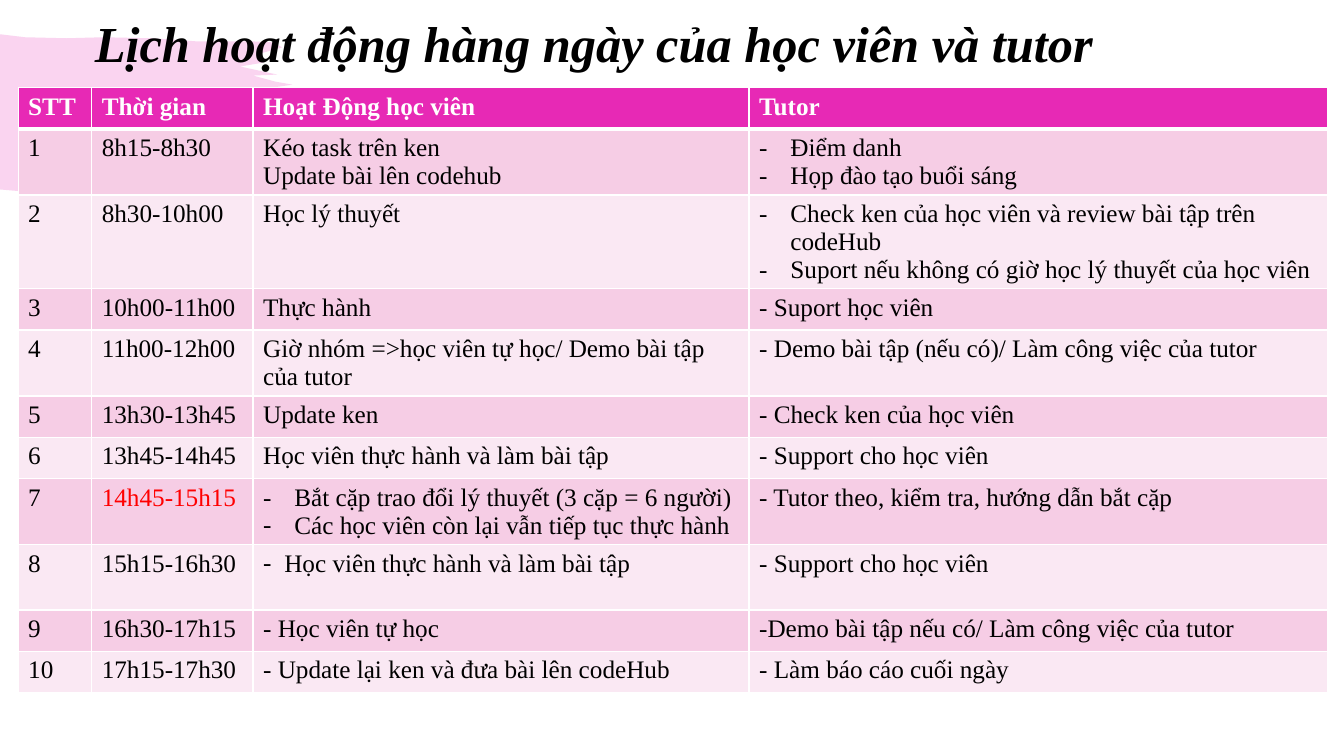
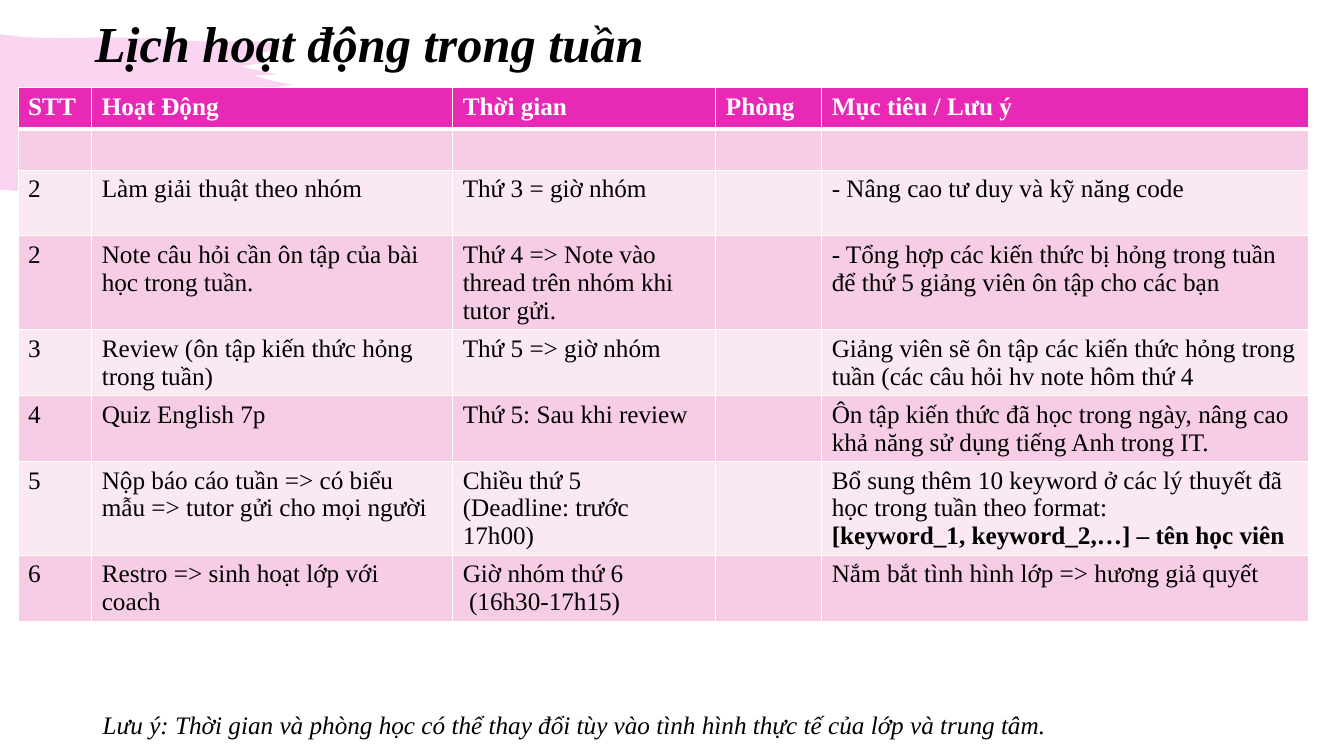
from dataclasses import dataclass, field

from lxml.etree import SubElement
from pptx import Presentation
from pptx.dml.color import RGBColor
from pptx.enum.text import MSO_ANCHOR, MSO_AUTO_SIZE, PP_ALIGN
from pptx.oxml.ns import qn
from pptx.slide import Slide, SlideLayout
from pptx.table import _Cell
from pptx.text.text import _Paragraph
from pptx.util import Emu, Pt

PX = 9144
FONT = "Times New Roman"
COLORS = {
    "accent": "E729B5",
    "odd": "F6CDE5",
    "even": "FAE8F3",
    "white": "FFFFFF",
    "black": "000000",
    "alert": "FF0000",
}
TITLE_FORMAT = {"name": FONT, "size": Pt(36), "bold": True, "italic": True}
CELL_FORMAT = {"name": FONT, "size": Pt(18), "bold": False}
STRONG_FORMAT = CELL_FORMAT | {"bold": True}
NOTE_FORMAT = CELL_FORMAT | {"italic": True}
ROW_HEIGHTS = {1: 41, 2: 65, 3: 93}
TITLE_BOX = (84, 15, 1150, 61)
NOTE_BOX = (92, 699, 1134, 40)
TABLE_LEFT, TABLE_TOP = 18, 87
DASH_HANG = 31
BRUSH_OUTLINE = [
    (0, 34), (25, 37), (66, 38), (102, 37), (151, 38), (194, 41), (248, 41), (270, 42),
    (280, 47), (255, 54), (262, 62), (238, 66), (275, 74), (251, 75), (273, 81), (290, 84),
    (263, 88), (330, 94), (274, 128), (197, 172), (102, 188), (65, 191), (23, 190), (0, 188),
]


@dataclass(frozen=True)
class Line:
    """One paragraph of a cell, dashed when it has a hang."""
    text: str
    hang: int = 0
    color: str = "black"
    strong: bool = False


@dataclass(frozen=True)
class Row:
    """One schedule row and the number of text lines it holds."""
    cells: tuple[str | tuple[Line, ...], ...]
    lines: int = 1


@dataclass(frozen=True)
class Schedule:
    """A titled schedule with an optional closing note."""
    title: str
    widths: tuple[int, ...]
    headings: tuple[str, ...]
    rows: list[Row] = field(default_factory=list)
    note: str = ""


def dashed(*texts: str, hang: int = DASH_HANG) -> tuple[Line, ...]:
    """Turn texts into dashed lines."""
    return tuple(Line(text, hang) for text in texts)


SCHEDULES = [
    Schedule(
        "Lịch hoạt động hàng ngày của học viên và tutor",
        (73, 160, 492, 574),
        ("STT", "Thời gian", "Hoạt Động học viên", "Tutor"),
        [
            Row(("1", "8h15-8h30",
                 (Line("Kéo task trên ken"), Line("Update bài lên codehub")),
                 dashed("Điểm danh", "Họp đào tạo buổi sáng")), 2),
            Row(("2", "8h30-10h00", "Học lý thuyết",
                 dashed("Check ken của học viên và review bài tập trên codeHub",
                        "Suport nếu không có giờ học lý thuyết của học viên")), 3),
            Row(("3", "10h00-11h00", "Thực hành", "- Suport học viên")),
            Row(("4", "11h00-12h00", "Giờ nhóm =>học viên tự học/ Demo bài tập của tutor",
                 "- Demo bài tập (nếu có)/ Làm công việc của tutor"), 2),
            Row(("5", "13h30-13h45", "Update ken", "- Check ken của học viên")),
            Row(("6", "13h45-14h45", "Học viên thực hành và làm bài tập",
                 "- Support cho học viên")),
            Row(("7", (Line("14h45-15h15", color="alert"),),
                 dashed("Bắt cặp trao đổi lý thuyết (3 cặp = 6 người)",
                        "Các học viên còn lại vẫn tiếp tục thực hành"),
                 "- Tutor theo, kiểm tra, hướng dẫn bắt cặp"), 2),
            Row(("8", "15h15-16h30", dashed("Học viên thực hành và làm bài tập", hang=21),
                 "- Support cho học viên"), 2),
            Row(("9", "16h30-17h15", "- Học viên tự học",
                 "-Demo bài tập nếu có/ Làm công việc của tutor")),
            Row(("10", "17h15-17h30", "- Update lại ken và đưa bài lên codeHub",
                 "- Làm báo cáo cuối ngày")),
        ],
    ),
    Schedule(
        "Lịch hoạt động trong tuần",
        (73, 358, 261, 105, 483),
        ("STT", "Hoạt Động", "Thời gian", "Phòng", "Mục tiêu / Lưu ý"),
        [
            Row(("",) * 5),
            Row(("2", "Làm giải thuật theo nhóm", "Thứ 3 = giờ nhóm", "",
                 "- Nâng cao tư duy và kỹ năng code"), 2),
            Row(("2", "Note câu hỏi cần ôn tập của bài học trong tuần.",
                 "Thứ 4 => Note vào thread trên nhóm khi tutor gửi.", "",
                 "- Tổng hợp các kiến thức bị hỏng trong tuần để thứ 5 giảng viên "
                 "ôn tập cho các bạn"), 3),
            Row(("3", "Review (ôn tập kiến thức hỏng trong tuần)", "Thứ 5 => giờ nhóm", "",
                 "Giảng viên sẽ ôn tập các kiến thức hỏng trong tuần "
                 "(các câu hỏi hv note hôm thứ 4"), 2),
            Row(("4", "Quiz English 7p", "Thứ 5: Sau khi review", "",
                 "Ôn tập kiến thức đã học trong ngày, nâng cao khả năng "
                 "sử dụng tiếng Anh trong IT."), 2),
            Row(("5", "Nộp báo cáo tuần => có biểu mẫu => tutor gửi cho mọi người",
                 (Line("Chiều thứ 5"), Line("(Deadline: trước 17h00)")), "",
                 (Line("Bổ sung thêm 10 keyword ở các lý thuyết đã học trong tuần theo format:"),
                  Line("[keyword_1, keyword_2,…] – tên học viên", strong=True))), 3),
            Row(("6", "Restro => sinh hoạt lớp với coach",
                 (Line("Giờ nhóm thứ 6"), Line(" (16h30-17h15)")), "",
                 "Nắm bắt tình hình lớp => hương giả quyết"), 2),
        ],
        "Lưu ý: Thời gian và phòng học có thể thay đổi tùy vào tình hình thực tế của lớp "
        "và trung tâm.",
    ),
]


def px(length: int) -> Emu:
    """Convert px to EMU."""
    return Emu(length * PX)


def rgb(color: str) -> RGBColor:
    """Look up a named colour."""
    return RGBColor.from_string(COLORS[color])


def write(paragraph: _Paragraph, text: str, formats: dict, color: str = "black") -> None:
    """Add one formatted run."""
    run = paragraph.add_run()
    run.text = text
    for key, value in formats.items():
        setattr(run.font, key, value)
    run.font.color.rgb = rgb(color)


def add_brush(slide: Slide, layout: SlideLayout) -> None:
    """Draw the brush stroke and place it behind everything on the layout."""
    start, *outline = BRUSH_OUTLINE
    builder = slide.shapes.build_freeform(*start, scale=PX)
    builder.add_line_segments(outline, close=True)
    brush = builder.convert_to_shape()
    brush.shadow.inherit = False
    brush.line.fill.background()
    brush.fill.solid()
    brush.fill.fore_color.rgb = rgb("accent")
    tint = brush.element.spPr.find(f"{qn('a:solidFill')}/{qn('a:srgbClr')}")
    SubElement(tint, qn("a:alpha"), val="20000")
    brush.element.nvSpPr.cNvPr.set("id", "99")
    layout.shapes.element.insert(2, brush.element)


def add_title(slide: Slide, text: str) -> None:
    """Fill the title placeholder."""
    title = slide.shapes.title
    title.left, title.top, title.width, title.height = map(px, TITLE_BOX)
    frame = title.text_frame
    frame.auto_size = MSO_AUTO_SIZE.NONE
    frame.vertical_anchor = MSO_ANCHOR.MIDDLE
    paragraph = frame.paragraphs[0]
    paragraph.alignment = PP_ALIGN.LEFT
    paragraph.line_spacing = 0.9
    write(paragraph, text, TITLE_FORMAT)


def style_cell(cell: _Cell, fill: str, top: int = 1, bottom: int = 1) -> None:
    """Give a cell white borders and a fill."""
    properties = cell._tc.get_or_add_tcPr()
    for side, width in {"L": 1, "R": 1, "T": top, "B": bottom}.items():
        border = SubElement(properties, qn(f"a:ln{side}"), w=str(Pt(width)))
        paint = SubElement(border, qn("a:solidFill"))
        SubElement(paint, qn("a:srgbClr"), val=COLORS["white"])
    cell.fill.solid()
    cell.fill.fore_color.rgb = rgb(fill)


def fill_cell(cell: _Cell, lines: tuple[Line, ...]) -> None:
    """Write the lines of a cell, one paragraph each."""
    frame = cell.text_frame
    for index, line in enumerate(lines):
        paragraph = frame.add_paragraph() if index else frame.paragraphs[0]
        if line.hang:
            properties = paragraph._p.get_or_add_pPr()
            properties.set("marL", str(px(line.hang)))
            properties.set("indent", str(px(-line.hang)))
            SubElement(properties, qn("a:buFont"), typeface=FONT)
            SubElement(properties, qn("a:buChar"), char="-")
        write(paragraph, line.text, STRONG_FORMAT if line.strong else CELL_FORMAT, line.color)


def add_schedule_table(slide: Slide, schedule: Schedule) -> None:
    """Draw the schedule as a banded table."""
    headings = tuple((Line(text, color="white", strong=True),) for text in schedule.headings)
    rows = [Row(headings), *schedule.rows]
    heights = [ROW_HEIGHTS[row.lines] for row in rows]
    table = slide.shapes.add_table(
        len(rows), len(schedule.widths), px(TABLE_LEFT), px(TABLE_TOP),
        px(sum(schedule.widths)), px(sum(heights))).table
    table.horz_banding = False
    for column, width in zip(table.columns, schedule.widths):
        column.width = px(width)
    for index, (row, height) in enumerate(zip(rows, heights)):
        table.rows[index].height = px(height)
        band = "odd" if index % 2 else "even"
        for cell, content in zip(table.rows[index].cells, row.cells):
            style_cell(cell, band if index else "accent",
                       3 if index == 1 else 1, 1 if index else 3)
            if content:
                fill_cell(cell, (Line(content),) if isinstance(content, str) else content)


def add_note(slide: Slide, text: str) -> None:
    """Write the closing note under the table."""
    frame = slide.shapes.add_textbox(*map(px, NOTE_BOX)).text_frame
    frame.word_wrap = True
    frame.auto_size = MSO_AUTO_SIZE.SHAPE_TO_FIT_TEXT
    write(frame.paragraphs[0], text, NOTE_FORMAT)


def main() -> None:
    """Build and save the presentation."""
    deck = Presentation()
    deck.slide_width, deck.slide_height = px(1333), px(750)
    layout = deck.slide_layouts.get_by_name("Title Only")
    slides = [deck.slides.add_slide(layout) for _ in SCHEDULES]
    add_brush(slides[0], layout)
    for slide, schedule in zip(slides, SCHEDULES):
        add_title(slide, schedule.title)
        add_schedule_table(slide, schedule)
        if schedule.note:
            add_note(slide, schedule.note)
    deck.save("out.pptx")


if __name__ == "__main__":
    main()
